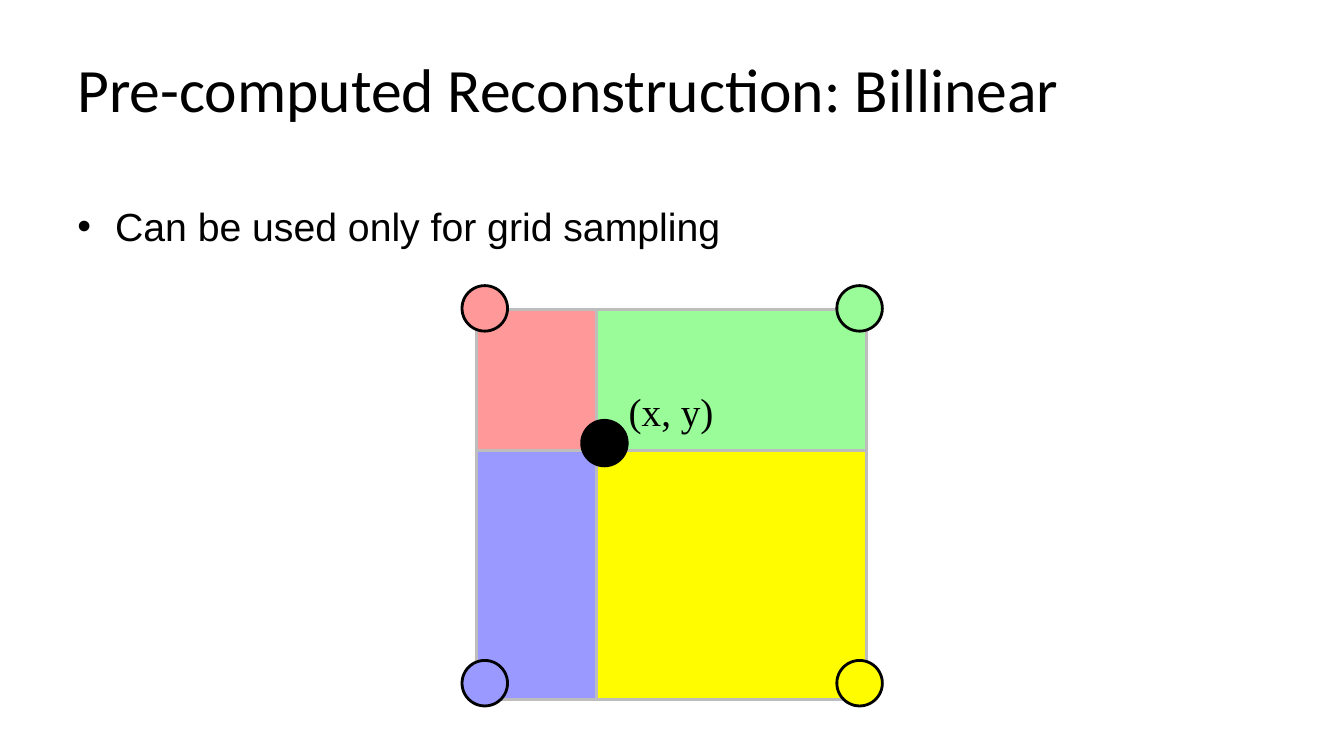
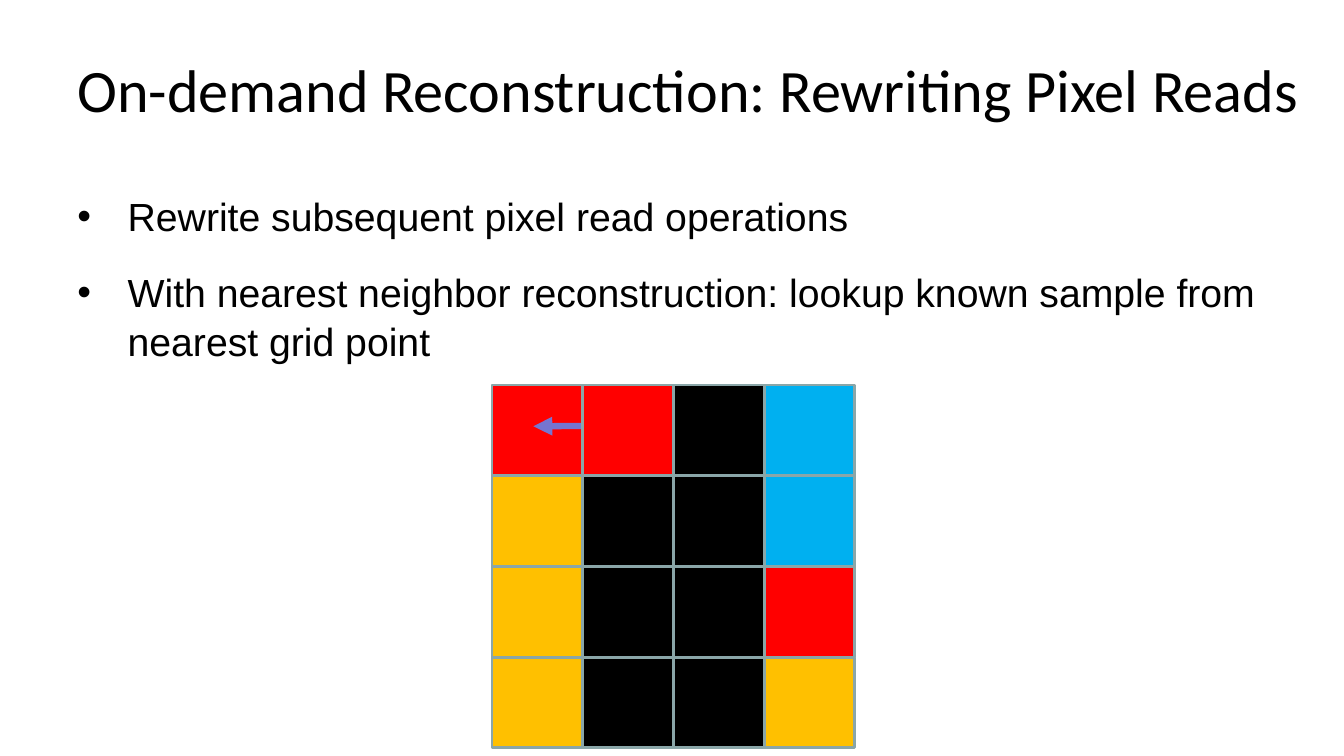
"""Two slides on image reconstruction: bilinear weights and rewritten pixel reads."""
import lxml.etree
import pptx
import pptx.dml.color
import pptx.enum.shapes
import pptx.enum.text
import pptx.oxml.ns
import pptx.util

Pt = pptx.util.Pt
RGB = pptx.dml.color.RGBColor
KIND = pptx.enum.shapes.MSO_SHAPE
TEXT = pptx.enum.text
qn = pptx.oxml.ns.qn

BLACK = RGB(0x00, 0x00, 0x00)
ROSE = RGB(0xFF, 0x99, 0x99)
MINT = RGB(0x99, 0xFC, 0x99)
LILAC = RGB(0x99, 0x99, 0xFF)
LEMON = RGB(0xFF, 0xFC, 0x00)
SILVER = RGB(0xBD, 0xBD, 0xBD)
RED = RGB(0xFF, 0x00, 0x00)
AMBER = RGB(0xFF, 0xC0, 0x00)
SKY = RGB(0x00, 0xB0, 0xF0)
TEAL = RGB(0x8A, 0xA6, 0xA8)
VIOLET = RGB(0x75, 0x75, 0xD1)

LEFT, WIDTH = 48, 894.5
BILIN = {
    "title": "Pre-computed Reconstruction: Billinear", "size": 44,
    "items": ["Can be used only for grid sampling"],
    "top": 139.5, "height": 356, "indent": 27,
}
READS = {
    "title": "On-demand Reconstruction: Rewriting Pixel Reads", "size": 43,
    "items": [
        "Rewrite subsequent pixel read operations",
        "With nearest neighbor reconstruction: lookup known sample from nearest grid point",
    ],
    "top": 132, "height": 128, "indent": 36,
}

AREAS = [[ROSE, MINT], [LILAC, LEMON]]
EDGES_X = [340.5, 426, 619]
EDGES_Y = [221, 321.5, 499.5]
DOTS_X = [330, 597.75]
DOTS_Y = [204, 471.75]
DOT = 32.5
POINT = (415.5, 300.25)

PIXELS = [
    [RED, RED, BLACK, SKY],
    [AMBER, BLACK, BLACK, SKY],
    [AMBER, BLACK, BLACK, RED],
    [AMBER, BLACK, BLACK, AMBER],
]
GRID_X, GRID_Y, CELL = 351.5, 275, 64.8


def style(para, name, size):
    """Set the font of a paragraph."""
    para.font.name = name
    para.font.size = Pt(size)
    para.font.color.rgb = BLACK


def place(holder, top, height, anchor):
    """Move a placeholder and return its text frame."""
    holder.left, holder.top = Pt(LEFT), Pt(top)
    holder.width, holder.height = Pt(WIDTH), Pt(height)
    frame = holder.text_frame
    frame.auto_size = TEXT.MSO_AUTO_SIZE.NONE
    frame.vertical_anchor = anchor
    return frame


def start(deck, data):
    """Add a slide with its title and bullet list."""
    slide = deck.slides.add_slide(deck.slide_layouts[1])
    frame = place(slide.shapes.title, 18, 90, TEXT.MSO_ANCHOR.MIDDLE)
    frame.text = data["title"]
    frame.paragraphs[0].alignment = TEXT.PP_ALIGN.LEFT
    style(frame.paragraphs[0], "Calibri", data["size"])
    frame = place(slide.placeholders[1], data["top"], data["height"], TEXT.MSO_ANCHOR.TOP)
    frame.text = "\n".join(data["items"])
    for para in frame.paragraphs:
        props = para._p.get_or_add_pPr()
        props.set("marL", str(Pt(data["indent"])))
        props.set("indent", str(-Pt(data["indent"])))
        para.line_spacing = 1.05
        para.space_before = Pt(0)
        para.space_after = Pt(19)
        style(para, "Arial", 28)
    return slide


def draw(slide, kind, box, fill, edge):
    """Add a filled and outlined shape."""
    shape = slide.shapes.add_shape(kind, *map(Pt, box))
    shape.shadow.inherit = False
    shape.fill.solid()
    shape.fill.fore_color.rgb = fill
    shape.line.color.rgb = edge
    shape.line.width = Pt(2)


def arrow(slide, ends):
    """Add an arrow that points at its second end."""
    line = slide.shapes.add_connector(pptx.enum.shapes.MSO_CONNECTOR.STRAIGHT, *map(Pt, ends))
    line.line.color.rgb = VIOLET
    line.line.width = Pt(4.5)
    props = line._element.spPr
    lxml.etree.SubElement(props.find(qn("a:ln")), qn("a:tailEnd"), type="triangle")
    lxml.etree.SubElement(props, qn("a:effectLst"))


def bilin(deck):
    """Build the slide on bilinear weights."""
    slide = start(deck, BILIN)
    for row, fills in enumerate(AREAS):
        for col, fill in enumerate(fills):
            x, y = EDGES_X[col], EDGES_Y[row]
            box = (x, y, EDGES_X[col + 1] - x, EDGES_Y[row + 1] - y)
            draw(slide, KIND.RECTANGLE, box, fill, SILVER)
    dots = [(DOTS_X[col], DOTS_Y[row], AREAS[row][col]) for row in range(2) for col in range(2)]
    for x, y, fill in dots + [(*POINT, BLACK)]:
        draw(slide, KIND.OVAL, (x, y, DOT, DOT), fill, BLACK)
    frame = slide.shapes.add_textbox(Pt(442), Pt(273), Pt(171), Pt(41)).text_frame
    frame.word_wrap = True
    frame.text = "(x, y)"
    style(frame.paragraphs[0], "Times New Roman", 28)


def reads(deck):
    """Build the slide on pixel reads."""
    slide = start(deck, READS)
    for row, fills in enumerate(PIXELS):
        for col, fill in enumerate(fills):
            box = (GRID_X + col * CELL, GRID_Y + row * CELL, CELL, CELL)
            draw(slide, KIND.RECTANGLE, box, fill, TEAL)
            if row == col == 0:
                arrow(slide, (447, 304, 381, 304.5))


def main():
    """Build and save the deck."""
    deck = pptx.Presentation()
    deck.slide_width, deck.slide_height = Pt(960), Pt(540)
    bilin(deck)
    reads(deck)
    deck.save("out.pptx")


if __name__ == "__main__":
    main()
